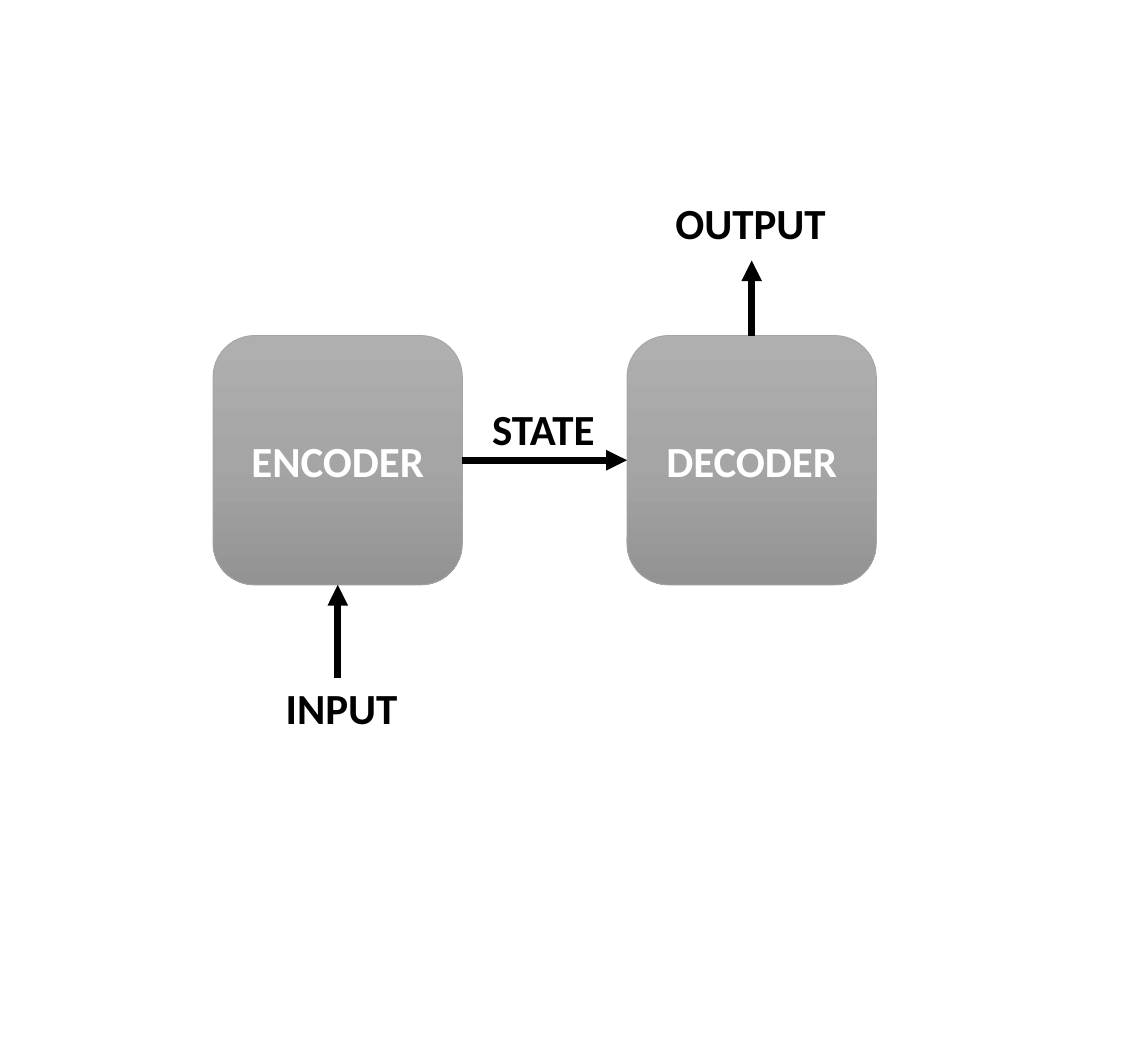
from copy import deepcopy

from lxml.etree import SubElement
from pptx import Presentation
from pptx.dml.color import RGBColor
from pptx.enum.shapes import MSO_CONNECTOR, MSO_SHAPE
from pptx.enum.text import MSO_ANCHOR, MSO_AUTO_SIZE, PP_ALIGN
from pptx.oxml.ns import qn
from pptx.util import Inches, Pt

COLORS = {
    "ink": "000000",
    "box text": "FFFFFF",
    "box line": "A5A5A5",
    "box top": "AFAFAF",
    "box middle": "A5A5A5",
    "box bottom": "939393",
}

# Two columns of boxes in one row, in inches
BOX_SIZE = 2.26
COLUMN_STEP = 3.75
ENCODER_LEFT, BOX_TOP = 1.93, 3.04
DECODER_LEFT = ENCODER_LEFT + COLUMN_STEP
BOX_BOTTOM = BOX_TOP + BOX_SIZE
ROW_MIDDLE = BOX_TOP + BOX_SIZE / 2
ENCODER_MIDDLE = ENCODER_LEFT + BOX_SIZE / 2
DECODER_MIDDLE = DECODER_LEFT + BOX_SIZE / 2
LABEL_HEIGHT = 0.57
INPUT_TAIL, OUTPUT_TIP = 6.14, 2.36

# Connection sites of a rounded rectangle
TOP, LEFT, BOTTOM, RIGHT = range(4)


def write_text(shape, text, color="ink", align=PP_ALIGN.LEFT,
               anchor=MSO_ANCHOR.TOP, wrap=True, size=28):
    frame = shape.text_frame
    frame.word_wrap = wrap
    frame.vertical_anchor = anchor
    paragraph = frame.paragraphs[0]
    paragraph.alignment = align
    run = paragraph.add_run()
    run.text = text
    run.font.name = "Calibri"
    run.font.size = Pt(size)
    run.font.bold = True
    run.font.color.rgb = RGBColor.from_string(COLORS[color])


def add_arrow(start, end):
    arrow = slide.shapes.add_connector(
        MSO_CONNECTOR.STRAIGHT, *(Inches(value) for value in start + end))
    arrow.line.width = Pt(4.5)
    arrow.line.color.rgb = RGBColor.from_string(COLORS["ink"])
    line = arrow.element.spPr.find(qn("a:ln"))
    SubElement(line, qn("a:tailEnd"), type="triangle")
    SubElement(arrow.element.spPr, qn("a:effectLst"))
    return arrow


presentation = Presentation()
presentation.slide_width = Inches(10.4)
presentation.slide_height = Inches(9.54)
slide = presentation.slides.add_slide(presentation.slide_layouts[6])

# Encoder and decoder boxes
boxes = {}
for text, left in (("ENCODER", ENCODER_LEFT), ("DECODER", DECODER_LEFT)):
    box = slide.shapes.add_shape(
        MSO_SHAPE.ROUNDED_RECTANGLE, Inches(left), Inches(BOX_TOP),
        Inches(BOX_SIZE), Inches(BOX_SIZE))
    box.shadow.inherit = False
    box.line.width = Pt(0.5)
    box.line.color.rgb = RGBColor.from_string(COLORS["box line"])

    box.fill.gradient()
    box.fill.gradient_angle = 270
    first_stop = box.element.xpath(".//a:gs")[0]
    middle_stop = deepcopy(first_stop)
    middle_stop.set("pos", "50000")
    first_stop.addnext(middle_stop)
    for stop, shade in zip(box.fill.gradient_stops, ("top", "middle", "bottom")):
        stop.color.rgb = RGBColor.from_string(COLORS[f"box {shade}"])

    write_text(box, text, color="box text", align=PP_ALIGN.CENTER,
               anchor=MSO_ANCHOR.MIDDLE)
    boxes[text] = box

# Arrows, glued to the boxes they touch
state_arrow = add_arrow((ENCODER_LEFT + BOX_SIZE, ROW_MIDDLE),
                        (DECODER_LEFT, ROW_MIDDLE))
state_arrow.begin_connect(boxes["ENCODER"], RIGHT)
state_arrow.end_connect(boxes["DECODER"], LEFT)

input_arrow = add_arrow((ENCODER_MIDDLE, INPUT_TAIL), (ENCODER_MIDDLE, BOX_BOTTOM))
input_arrow.end_connect(boxes["ENCODER"], BOTTOM)

output_arrow = add_arrow((DECODER_MIDDLE, BOX_TOP), (DECODER_MIDDLE, OUTPUT_TIP))
output_arrow.begin_connect(boxes["DECODER"], TOP)

# Labels beside the arrows
for text, left, top, width in (
    ("STATE", 4.36, ROW_MIDDLE - LABEL_HEIGHT, 1.15),
    ("INPUT", 2.49, 6.13, 1.23),
    ("OUTPUT", 6.02, 1.73, 1.58),
):
    label = slide.shapes.add_textbox(
        Inches(left), Inches(top), Inches(width), Inches(LABEL_HEIGHT))
    write_text(label, text, wrap=False)
    label.text_frame.auto_size = MSO_AUTO_SIZE.SHAPE_TO_FIT_TEXT

presentation.save("out.pptx")
